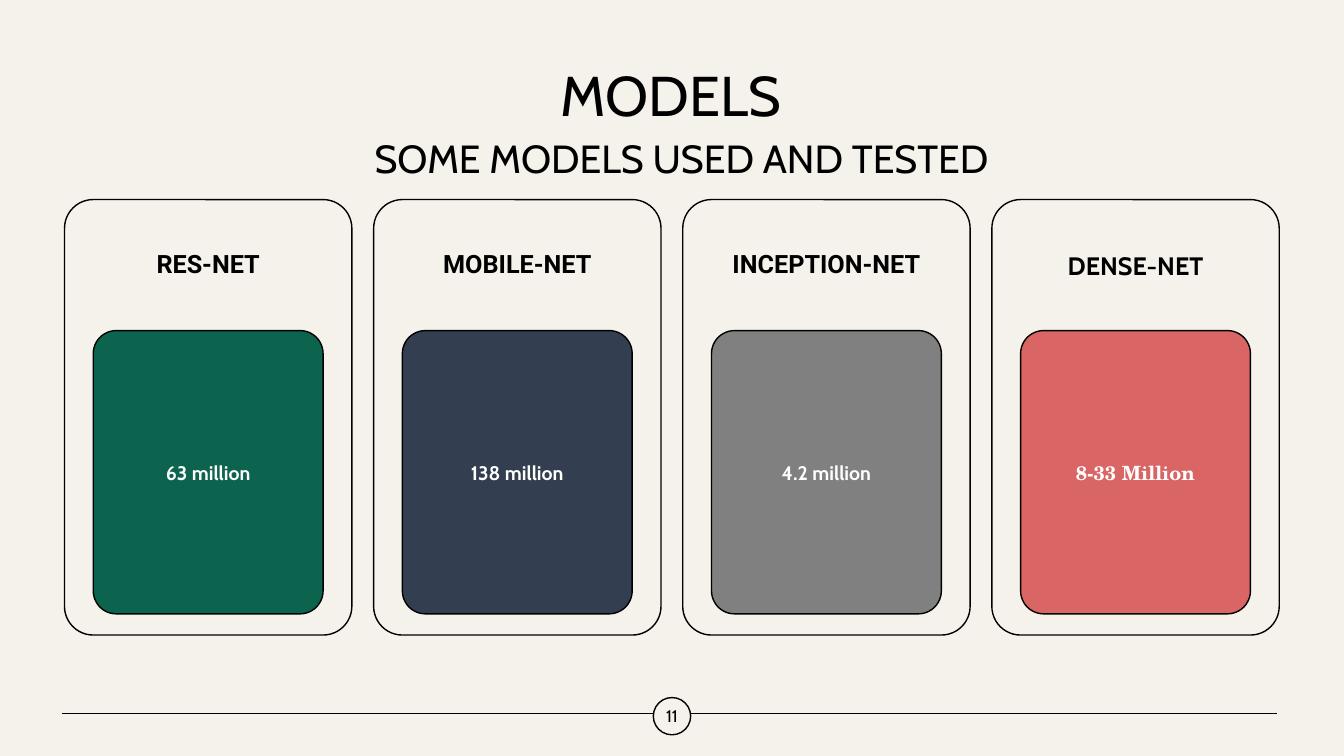
from lxml import etree
from pptx import Presentation
from pptx.dml.color import RGBColor
from pptx.enum.shapes import MSO_CONNECTOR, MSO_SHAPE
from pptx.enum.text import MSO_ANCHOR, PP_ALIGN
from pptx.oxml.ns import qn
from pptx.util import Inches, Pt

ROUND = MSO_SHAPE.ROUNDED_RECTANGLE
OVAL = MSO_SHAPE.OVAL
LINE = MSO_CONNECTOR.STRAIGHT
MIDDLE = MSO_ANCHOR.MIDDLE
CENTER = PP_ALIGN.CENTER

INK = {"cream": "F5F2EB", "black": "000000", "white": "FFFFFF", "green": "0C644F",
       "navy": "333F50", "gray": "808080", "coral": "D96564"}

LEFT, TOP, PITCH = 4.8, 26.4, 23
WIDE, TALL, HEAD = 21.38, 57.6, 17.33
INSET, BLOCK, DEPTH = 2.14, 17.1, 37.47

CARDS = [
    ("RES-NET", "Roboto", 0.9, "63 million", "Cabin", "green"),
    ("MOBILE-NET", "Roboto", 0.9, "138 million", "Cabin", "navy"),
    ("INCEPTION-NET", "Roboto", 0.9, "4.2 million", "Cabin", "gray"),
    ("DENSE-NET", "Cabin", 1.0, "8-33 Million", "TeX Gyre Schola", "coral"),
]


def style(item, form):
    for name, value in form.items():
        setattr(item, name, value)


def tint(name):
    return RGBColor.from_string(INK[name])


class Deck:
    def __init__(self):
        self.file = Presentation()
        style(self.file, {"slide_width": Inches(13.33), "slide_height": Inches(7.5)})
        self.page = self.file.slides.add_slide(self.file.slide_layouts[6])
        self.fill(self.page.background.fill, "cream")

    def fill(self, fill, ink):
        fill.solid()
        fill.fore_color.rgb = tint(ink)

    def edge(self, item):
        item.line.width = Pt(1)
        self.fill(item.line.fill, "black")

    def grid(self, x, y, w, h):
        wide, tall = self.file.slide_width / 100, self.file.slide_height / 100
        return [round(n) for n in (x * wide, y * tall, w * wide, h * tall)]

    def words(self, item, text, size, font="Cabin", ink="black", bold=False, lead=1.0, pad=0.07):
        frame = item.text_frame
        side = Inches(pad)
        style(frame, {"word_wrap": True, "vertical_anchor": MIDDLE, "margin_left": side,
                      "margin_right": side, "margin_top": side, "margin_bottom": side})
        para = frame.paragraphs[0]
        style(para, {"text": text, "alignment": CENTER, "line_spacing": lead})
        face = para.runs[0].font
        style(face, {"name": font, "size": Pt(size), "bold": bold})
        face.color.rgb = tint(ink)

    def label(self, area, text, size, **form):
        self.words(self.page.shapes.add_textbox(*self.grid(*area)), text, size, **form)

    def shape(self, kind, area, ink):
        item = self.page.shapes.add_shape(kind, *self.grid(*area))
        item.shadow.inherit = False
        self.fill(item.fill, ink)
        self.edge(item)
        if kind == ROUND:
            item.adjustments[0] = 0.1
        return item

    def rule(self, start, end, y):
        x, top, far, _ = self.grid(start, y, end, 0)
        line = self.page.shapes.add_connector(LINE, x, top, far, top)
        self.edge(line)
        etree.SubElement(line._element.spPr, qn("a:effectLst"))

    def card(self, col, head, font, lead, count, face, ink):
        x = LEFT + col * PITCH
        self.shape(ROUND, (x, TOP, WIDE, TALL), "cream")
        self.label((x, TOP, WIDE, HEAD), head, 18, font=font, bold=True, lead=lead)
        block = self.shape(ROUND, (x + INSET, TOP + HEAD, BLOCK, DEPTH), ink)
        self.words(block, count, 14, font=face, ink="white", bold=True)


def main():
    deck = Deck()
    deck.rule(4.65, 95.05, 94.4)
    deck.label((4.8, 7.87, 90.25, 10.4), "MODELS", 40, lead=0.9)
    for col, card in enumerate(CARDS):
        deck.card(col, *card)
    badge = deck.shape(OVAL, (48.61, 92.27, 2.78, 4.93), "cream")
    deck.words(badge, "11", 12, pad=0)
    deck.label((4.95, 16, 91.5, 10.53), "SOME MODELS USED AND TESTED", 28, lead=0.9)
    deck.file.save("out.pptx")


if __name__ == "__main__":
    main()
